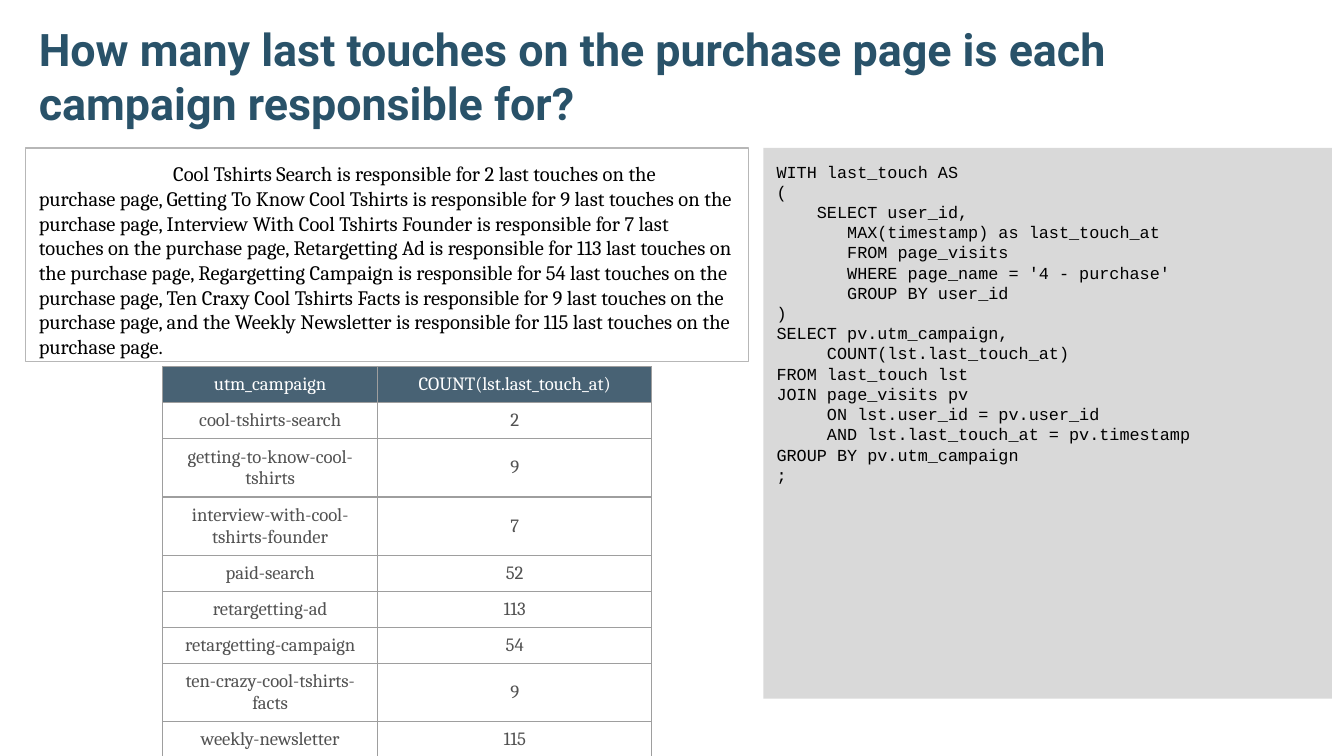
from lxml import etree
from pptx import Presentation
from pptx.dml.color import RGBColor
from pptx.enum.shapes import MSO_SHAPE
from pptx.enum.text import MSO_ANCHOR, PP_ALIGN
from pptx.oxml import parse_xml
from pptx.oxml.ns import nsdecls, qn
from pptx.util import Inches, Pt

RECT = MSO_SHAPE.RECTANGLE
TOP, MIDDLE, BOTTOM = MSO_ANCHOR.TOP, MSO_ANCHOR.MIDDLE, MSO_ANCHOR.BOTTOM
LEFT, CENTER = PP_ALIGN.LEFT, PP_ALIGN.CENTER

# Content
TITLE = "How many last touches on the purchase page is each campaign responsible for?"
SUMMARY = (
    "Cool Tshirts Search is responsible for 2 last touches on the purchase page, "
    "Getting To Know Cool Tshirts is responsible for 9 last touches on the purchase page, "
    "Interview With Cool Tshirts Founder is responsible for 7 last touches on the purchase page, "
    "Retargetting Ad is responsible for 113 last touches on the purchase page, "
    "Regargetting Campaign is responsible for 54 last touches on the purchase page, "
    "Ten Craxy Cool Tshirts Facts is responsible for 9 last touches on the purchase page, "
    "and the Weekly Newsletter is responsible for 115 last touches on the purchase page."
)
QUERY = """WITH last_touch AS
(
    SELECT user_id,
       MAX(timestamp) as last_touch_at
       FROM page_visits
       WHERE page_name = '4 - purchase'
       GROUP BY user_id
)
SELECT pv.utm_campaign,
     COUNT(lst.last_touch_at)
FROM last_touch lst
JOIN page_visits pv
     ON lst.user_id = pv.user_id
     AND lst.last_touch_at = pv.timestamp
GROUP BY pv.utm_campaign
;"""
ROWS = [
    ("utm_campaign", "COUNT(lst.last_touch_at)"),
    ("cool-tshirts-search", 2),
    ("getting-to-know-cool-tshirts", 9),
    ("interview-with-cool-tshirts-founder", 7),
    ("paid-search", 52),
    ("retargetting-ad", 113),
    ("retargetting-campaign", 54),
    ("ten-crazy-cool-tshirts-facts", 9),
    ("weekly-newsletter", 115),
]

# Formats
HEAD = {"name": "Roboto", "size": Pt(24), "bold": True, "color": "295269"}
BODY = {"name": "Cambria", "size": Pt(11), "color": "000000"}
CODE = {"name": "Courier New", "size": Pt(9), "color": "000000"}
LABEL = {"name": "Cambria", "size": Pt(10), "bold": False, "color": "FFFFFF"}
CELL = {**LABEL, "color": "525252"}

# Layout
WIDE = 10
COLS = (1.6, 2.04)
GRID = (1.21, 2.73, sum(COLS), 2.9)
LEAST = 0.2  # rows grow from here to fit their text


def rgb(code):
    return RGBColor.from_string(code)


def write(frame, text, style, align=LEFT):
    for n, line in enumerate(text.split("\n")):
        para = frame.paragraphs[0] if n == 0 else frame.add_paragraph()
        para.alignment = align
        run = para.add_run()
        run.text = line
        for key, value in style.items():
            if key == "color":
                run.font.color.rgb = rgb(value)
            else:
                setattr(run.font, key, value)


def inset(frame, anchor):
    frame.word_wrap = True
    frame.vertical_anchor = anchor
    for side in ("left", "right", "top", "bottom"):
        setattr(frame, f"margin_{side}", Inches(0.1))


def panel(slide, box, fill=None, line=None):
    shape = slide.shapes.add_shape(RECT, *map(Inches, box))
    shape.shadow.inherit = False
    if fill:
        shape.fill.solid()
        shape.fill.fore_color.rgb = rgb(fill)
    else:
        shape.fill.background()
    if line:
        shape.line.color.rgb = rgb(line)
        shape.line.width = Pt(0.75)
    else:
        shape.line.fill.background()
    inset(shape.text_frame, TOP)
    return shape.text_frame


def border(cell, color):
    props = cell._tc.get_or_add_tcPr()
    for n, side in enumerate(("lnL", "lnR", "lnT", "lnB")):
        props.insert(n, parse_xml(
            f'<a:{side} {nsdecls("a")} w="{Pt(0.75)}"><a:solidFill>'
            f'<a:srgbClr val="{color}"/></a:solidFill></a:{side}>'))


def tint(cell, color, alpha):
    cell.fill.solid()
    cell.fill.fore_color.rgb = rgb(color)
    mark = cell._tc.tcPr.find(qn("a:solidFill"))[0]
    etree.SubElement(mark, qn("a:alpha")).set("val", str(alpha * 1000))


# Widescreen slide, 16:9
deck = Presentation()
deck.slide_width, deck.slide_height = Inches(WIDE), Inches(WIDE * 9 / 16)
slide = deck.slides.add_slide(deck.slide_layouts[6])

# Title
title = slide.shapes.add_textbox(*map(Inches, (0.19, 0.14, 9.32, 0.92))).text_frame
inset(title, BOTTOM)
write(title, TITLE, HEAD)

# Query panel
write(panel(slide, (5.68, 1.1, 4.23, 4.1), fill="D9D9D9"), QUERY, CODE)

# Summary box, first line indented
note = panel(slide, (0.19, 1.1, 5.38, 1.59), line="B7B7B7")
write(note, SUMMARY, BODY)
note.paragraphs[0]._p.get_or_add_pPr().set("indent", str(Inches(1)))

# Results table
holder = slide.shapes.add_table(len(ROWS), len(COLS), *map(Inches, GRID))
table = holder.table
table.first_row = table.horz_banding = False
for col, width in zip(table.columns, COLS):
    col.width = Inches(width)
for r, row in enumerate(ROWS):
    table.rows[r].height = Inches(LEAST)
    for c, value in enumerate(row):
        cell = table.cell(r, c)
        cell.vertical_anchor = MIDDLE
        write(cell.text_frame, str(value), CELL if r else LABEL, CENTER)
        if r:
            cell.fill.background()
        else:
            tint(cell, "204056", 82)
        border(cell, "9E9E9E")
holder.height = Inches(GRID[3])

deck.save("out.pptx")
